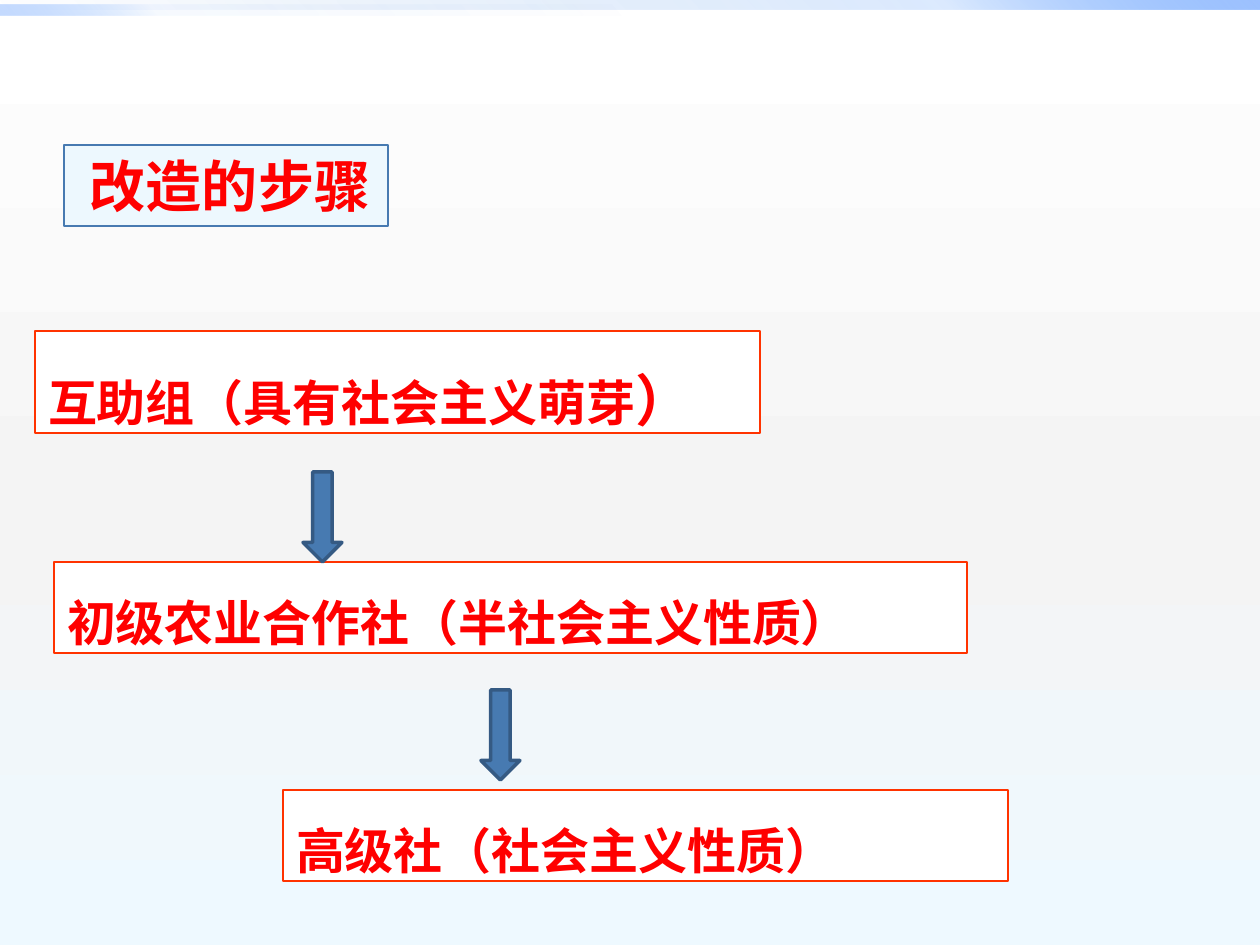
from lxml import etree
from pptx import Presentation
from pptx import util as u
from pptx.dml.color import RGBColor
from pptx.enum import shapes, text
from pptx.oxml import ns

PX = u.Inches(1) / 126
FONT = "Times New Roman"
COLORS = {
    "text": "FF0000", "step_fill": "FFFFFF", "step_line": "FF3300",
    "arrow": "477AB1", "arrow_line": "355A83", "title_fill": "EDF8FE",
}
# Gradient stops: position, colour, opacity (percent)
BACKGROUND = [(0, "FFFFFF", 100), (55, "F4F4F4", 100), (100, "EEF9FF", 100)]
TOP_BAR = [(0, "0058B7", 0), (75, "4F95FF", 20), (100, "9EC2FF", 100)]
LOWER_BAR = [(0, "0058B7", 0), (75, "4F95FF", 5), (100, "9EC2FF", 60)]


def px(value):
    return u.Emu(round(value * PX))


def color(name):
    return RGBColor.from_string(COLORS[name])


def place(shape, left, top, width, height):
    shape.left, shape.top = px(left), px(top)
    shape.width, shape.height = px(width), px(height)


def set_gradient(fill, parent, stops, angle):
    """Give a fill any number of stops, with opacity and a clockwise angle."""
    fill.gradient()
    gradient = parent.find(".//" + ns.qn("a:gradFill"))
    for child in list(gradient):
        gradient.remove(child)
    stop_list = etree.SubElement(gradient, ns.qn("a:gsLst"))
    for position, value, opacity in stops:
        stop = etree.SubElement(stop_list, ns.qn("a:gs"), pos=str(position * 1000))
        tint = etree.SubElement(stop, ns.qn("a:srgbClr"), val=value)
        if opacity < 100:
            etree.SubElement(tint, ns.qn("a:alpha"), val=str(opacity * 1000))
    etree.SubElement(gradient, ns.qn("a:lin"), ang=str(angle * 60000), scaled="0")


def set_colors(shape, fill, line, width):
    shape.fill.solid()
    shape.fill.fore_color.rgb = color(fill)
    shape.line.color.rgb = color(line)
    shape.line.width = u.Pt(width)


def add_preset(slide, kind, *bounds):
    shape = slide.shapes.add_shape(kind, *map(px, bounds))
    shape.shadow.inherit = False
    return shape


def write(shape, spans, *, spacing=1.0, inset=13, wrap=True):
    """Write one bold left-aligned paragraph of (words, size) spans."""
    frame = shape.text_frame
    frame.auto_size = text.MSO_AUTO_SIZE.NONE
    frame.word_wrap = wrap
    frame.vertical_anchor = text.MSO_ANCHOR.MIDDLE
    frame.margin_left, frame.margin_right = px(inset), px(13)
    frame.margin_top = frame.margin_bottom = px(6)
    para = frame.paragraphs[0]
    para.alignment = text.PP_ALIGN.LEFT
    para.line_spacing = spacing
    para.space_before = u.Pt(0)
    for words, size in spans:
        span = para.add_run()
        span.text = words
        span.font.name = FONT
        span.font.size = u.Pt(size)
        span.font.bold = True
        span.font.color.rgb = color("text")


def add_bar(slide, bounds, stops, angle):
    bar = add_preset(slide, shapes.MSO_SHAPE.RECTANGLE, *bounds)
    set_gradient(bar.fill, bar.element, stops, angle)
    bar.line.fill.background()


def add_step(slide, bounds, spans):
    box = add_preset(slide, shapes.MSO_SHAPE.RECTANGLE, *bounds)
    set_colors(box, "step_fill", "step_line", 1)
    write(box, spans, spacing=1.5)


def add_arrow(slide, left, top):
    arrow = add_preset(slide, shapes.MSO_SHAPE.DOWN_ARROW, left, top, 39, 90)
    set_colors(arrow, "arrow", "arrow_line", 2)


def set_title(slide, words):
    title = slide.shapes.title
    place(title, 64, 145, 324, 81)
    set_colors(title, "title_fill", "arrow", 0.75)
    write(title, [(words, 32)], inset=26, wrap=False)


def main():
    deck = Presentation()
    deck.slide_width, deck.slide_height = px(1260), px(945)
    slide = deck.slides.add_slide(deck.slide_layouts[5])

    # Backdrop
    set_gradient(slide.background.fill, slide.element, BACKGROUND, 90)
    add_bar(slide, (0, 0, 1260, 10), TOP_BAR, 315)
    add_bar(slide, (0, 5, 630, 10), LOWER_BAR, 135)

    set_title(slide, "改造的步骤")

    # Steps, linked by arrows
    add_step(slide, (35, 331, 725, 102), [("互助组（具有社会主义萌芽", 28), ("）", 32)])
    add_step(slide, (54, 562, 913, 91), [("初级农业合作社（半社会主义性质）", 28)])
    add_step(slide, (283, 790, 725, 91), [("高级社（社会主义性质）", 28)])
    for left, top in ((303, 472), (481, 690)):
        add_arrow(slide, left, top)

    deck.save("out.pptx")


if __name__ == "__main__":
    main()
